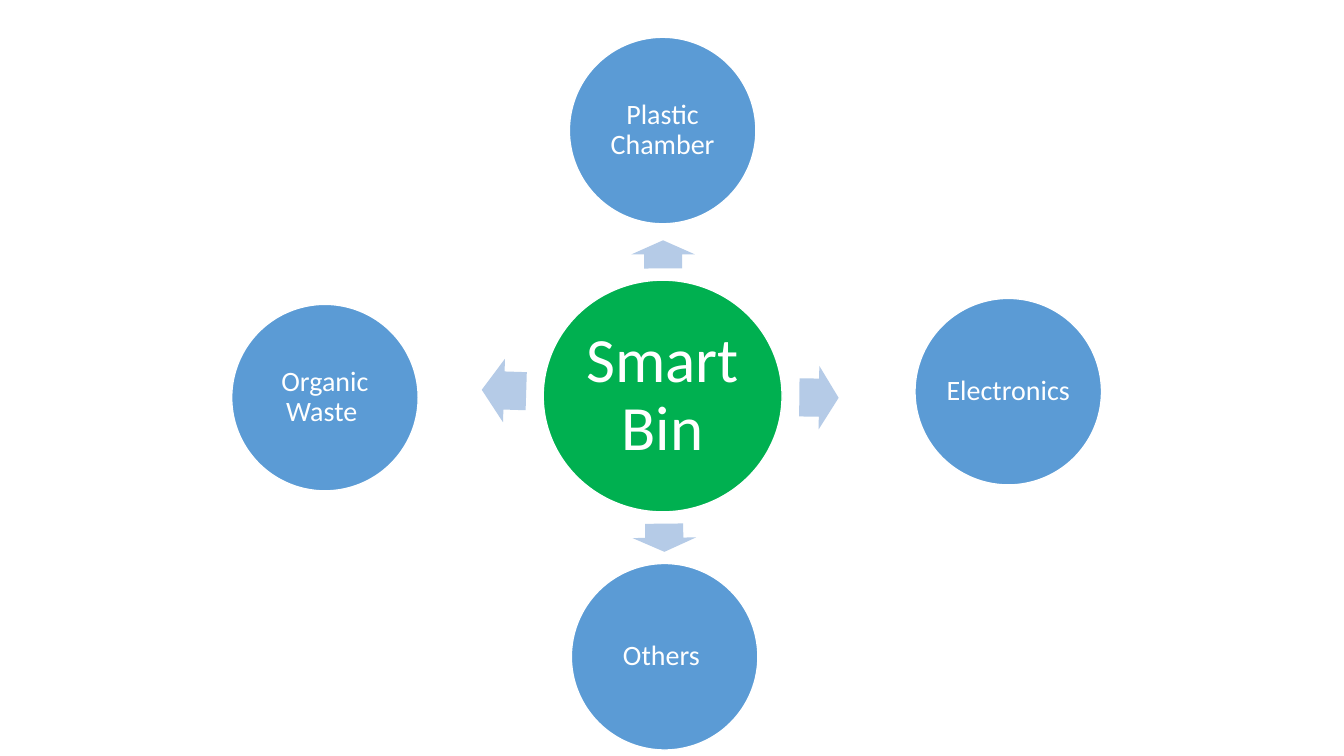
from dataclasses import dataclass

from pptx import Presentation
from pptx.dml.color import RGBColor
from pptx.enum.shapes import MSO_SHAPE
from pptx.enum.text import MSO_ANCHOR, PP_ALIGN
from pptx.shapes.autoshape import Shape
from pptx.util import Cm, Pt


@dataclass(frozen=True)
class Theme:
    font: str = "Calibri"
    white: RGBColor = RGBColor(0xFF, 0xFF, 0xFF)
    chamber: RGBColor = RGBColor(0x5B, 0x9B, 0xD5)
    hub: RGBColor = RGBColor(0x00, 0xB0, 0x50)
    arrow: RGBColor = RGBColor(0xB5, 0xCB, 0xE7)
    chamber_size: int = 20
    hub_size: int = 45
    outline: float = 1


THEME = Theme()


@dataclass(frozen=True)
class Circle:
    """Labelled ellipse placed by its centre, in centimetres."""
    label: str
    x: float
    y: float
    width: float = 4.7
    height: float = 4.7
    fill: RGBColor = THEME.chamber
    text_size: int = THEME.chamber_size
    inset: float = 0.08


@dataclass(frozen=True)
class Arrow:
    """Right arrow placed by its centre, in centimetres, then rotated."""
    x: float
    y: float
    length: float
    rotation: float
    width: float = 1.6


CHAMBERS = [
    Circle("Plastic Chamber", 16.7, 3.29),
    Circle("Organic Waste ", 8.19, 10.02),
    Circle("Electronics", 25.41, 9.87),
    Circle("Others ", 16.75, 16.55),
]
ARROWS = [
    Arrow(16.71, 6.41, 0.71, 269.9),
    Arrow(20.64, 10.02, 0.99, 0.6),
    Arrow(16.74, 13.55, 0.71, 89.4),
    Arrow(12.7, 9.84, 1.12, 181.8),
]
HUB = Circle("Smart Bin", 16.7, 9.98, 6.02, 5.84, THEME.hub, THEME.hub_size, 0.15)


def add_centred(slide, kind: MSO_SHAPE, x: float, y: float,
                width: float, height: float, fill: RGBColor) -> Shape:
    shape = slide.shapes.add_shape(kind, Cm(x - width / 2), Cm(y - height / 2),
                                   Cm(width), Cm(height))
    shape.shadow.inherit = False
    shape.fill.solid()
    shape.fill.fore_color.rgb = fill
    return shape


def draw_circle(slide, circle: Circle) -> None:
    shape = add_centred(slide, MSO_SHAPE.OVAL, circle.x, circle.y,
                        circle.width, circle.height, circle.fill)
    shape.line.color.rgb = THEME.white
    shape.line.width = Pt(THEME.outline)

    frame = shape.text_frame
    frame.word_wrap = True
    frame.vertical_anchor = MSO_ANCHOR.MIDDLE
    frame.margin_left = frame.margin_right = Cm(circle.inset)
    frame.margin_top = frame.margin_bottom = Cm(circle.inset)

    paragraph = frame.paragraphs[0]
    paragraph.alignment = PP_ALIGN.CENTER
    paragraph.line_spacing = 0.9
    run = paragraph.add_run()
    run.text = circle.label
    run.font.name = THEME.font
    run.font.size = Pt(circle.text_size)
    run.font.color.rgb = THEME.white


def draw_arrow(slide, arrow: Arrow) -> None:
    shape = add_centred(slide, MSO_SHAPE.RIGHT_ARROW, arrow.x, arrow.y,
                        arrow.length, arrow.width, THEME.arrow)
    shape.line.fill.background()
    shape.adjustments[0] = 0.6
    shape.adjustments[1] = 0.5
    shape.rotation = arrow.rotation


def main() -> None:
    prs = Presentation()
    prs.slide_width, prs.slide_height = Cm(33.87), Cm(19.05)
    blank_layout = prs.slide_layouts[6]
    slide = prs.slides.add_slide(blank_layout)

    # Outer chambers
    for chamber in CHAMBERS:
        draw_circle(slide, chamber)

    # Arrows pointing away from the bin
    for arrow in ARROWS:
        draw_arrow(slide, arrow)

    # Central bin
    draw_circle(slide, HUB)

    prs.save("out.pptx")


main()
